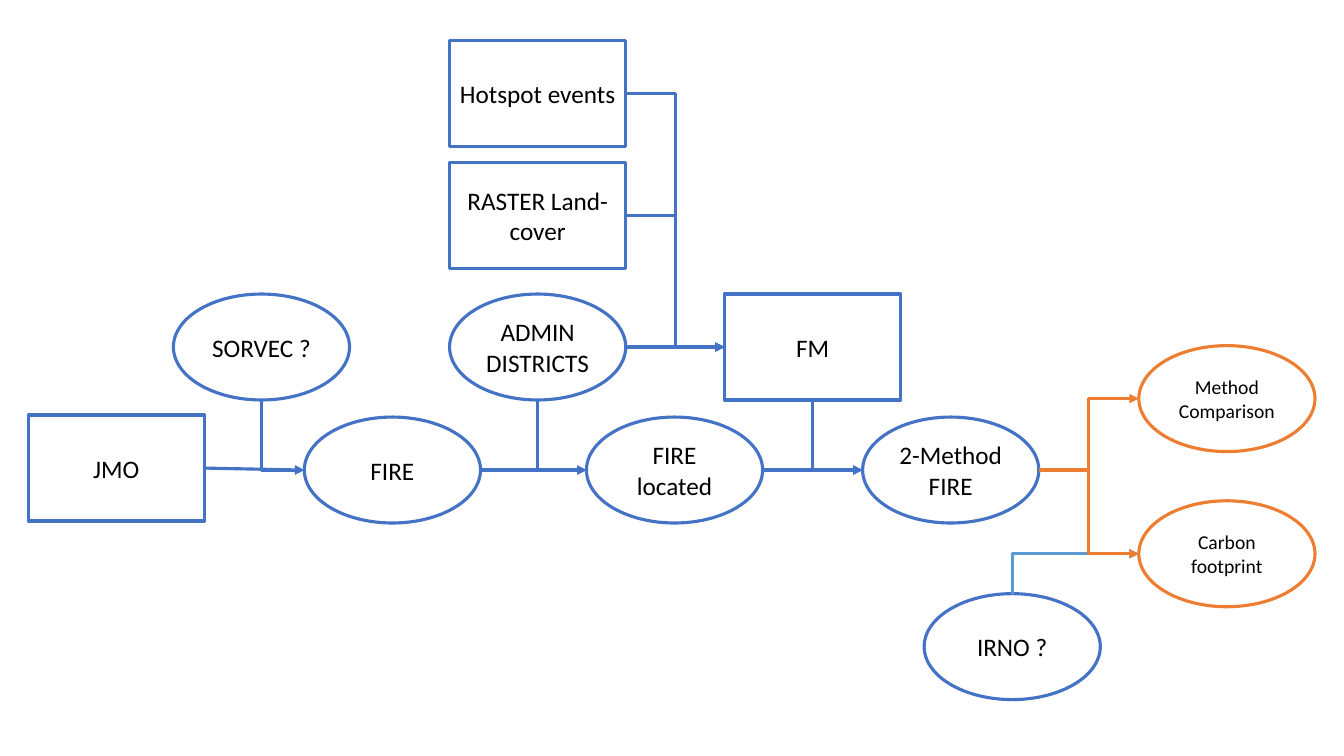
from lxml.etree import SubElement
from pptx import Presentation
from pptx.dml.color import RGBColor
from pptx.enum.shapes import MSO_CONNECTOR, MSO_SHAPE
from pptx.enum.text import MSO_ANCHOR, PP_ALIGN
from pptx.oxml.ns import qn
from pptx.util import Cm, Pt

BLUE, LIGHT_BLUE, ORANGE = "4472C4", "5B9BD5", "ED7D31"
WIDTH, HEIGHT = Cm(4.44), Cm(2.67)
RECT, OVAL = MSO_SHAPE.RECTANGLE, MSO_SHAPE.OVAL
# Connection sites of each preset shape
SITES = {
    RECT: {"top": 0, "left": 1, "bottom": 2, "right": 3},
    OVAL: {"top": 0, "left": 2, "bottom": 4, "right": 6},
}


def rgb(color):
    return RGBColor.from_string(color)


def side_point(sp, side):
    """Return the middle of one side of a shape."""
    x = {"left": 0, "right": sp.width}.get(side, sp.width // 2)
    y = {"top": 0, "bottom": sp.height}.get(side, sp.height // 2)
    return sp.left + x, sp.top + y


prs = Presentation()
prs.slide_width, prs.slide_height = Cm(33.87), Cm(19.05)
slide = prs.slides.add_slide(prs.slide_layouts[6])

# Columns and rows shared by several nodes, in cm
SOURCE_X, RESULT_X = 11.33, 28.7
UPPER_Y, MAIN_Y = 7.41, 10.51

# key: shape, left, top, paragraphs, line colour, text size
nodes = {
    "jmo": (RECT, 0.71, 10.46, ["JMO"], BLUE, 18),
    "sorvec": (OVAL, 4.37, UPPER_Y, ["SORVEC ?"], BLUE, 18),
    "fire": (OVAL, 7.67, MAIN_Y, ["FIRE"], BLUE, 18),
    "districts": (OVAL, SOURCE_X, UPPER_Y, ["ADMIN DISTRICTS"], BLUE, 18),
    "located": (OVAL, 14.78, MAIN_Y, ["FIRE", "located"], BLUE, 18),
    "fm": (RECT, 18.26, UPPER_Y, ["FM"], BLUE, 18),
    "methods": (OVAL, 21.74, MAIN_Y, ["2-Method FIRE"], BLUE, 18),
    "comparison": (OVAL, RESULT_X, 8.71, ["Method Comparison"], ORANGE, 14),
    "carbon": (OVAL, RESULT_X, 12.62, ["Carbon footprint"], ORANGE, 14),
    "irno": (OVAL, 23.29, 14.96, ["IRNO ?"], BLUE, 18),
    "landcover": (RECT, SOURCE_X, 4.09, ["RASTER Land-cover"], BLUE, 18),
    "hotspot": (RECT, SOURCE_X, 1.03, ["Hotspot events"], BLUE, 18),
}

shapes = {}
for key, (kind, left, top, lines, color, size) in nodes.items():
    sp = slide.shapes.add_shape(kind, Cm(left), Cm(top), WIDTH, HEIGHT)
    sp.shadow.inherit = False
    sp.fill.solid()
    sp.fill.fore_color.rgb = rgb("FFFFFF")
    sp.line.color.rgb = rgb(color)
    sp.line.width = Pt(2.25)
    tf = sp.text_frame
    tf.word_wrap = True
    tf.vertical_anchor = MSO_ANCHOR.MIDDLE
    for i, line in enumerate(lines):
        p = tf.add_paragraph() if i else tf.paragraphs[0]
        p.alignment = PP_ALIGN.CENTER
        r = p.add_run()
        r.text = line
        r.font.name = "Calibri"
        r.font.size = Pt(size)
        r.font.color.rgb = rgb("000000")
    shapes[key] = sp

# source, side it leaves from, target (always entered on the left), colour
links = [
    ("jmo", "right", "fire", BLUE),
    ("sorvec", "bottom", "fire", BLUE),
    ("districts", "bottom", "located", BLUE),
    ("fire", "right", "located", BLUE),
    ("fm", "bottom", "methods", BLUE),
    ("located", "right", "methods", BLUE),
    ("methods", "right", "comparison", ORANGE),
    ("irno", "top", "carbon", LIGHT_BLUE),
    ("districts", "right", "fm", BLUE),
    ("methods", "right", "carbon", ORANGE),
    ("landcover", "right", "fm", BLUE),
    ("hotspot", "right", "fm", BLUE),
]

for source, side, target, color in links:
    start, end = shapes[source], shapes[target]
    x1, y1 = side_point(start, side)
    x2, y2 = side_point(end, "left")
    kind = MSO_CONNECTOR.STRAIGHT if source == "jmo" else MSO_CONNECTOR.ELBOW
    cx = slide.shapes.add_connector(kind, x1, y1, x2, y2)
    cx._connect_begin_to(start, SITES[start.auto_shape_type][side])
    cx._connect_end_to(end, SITES[end.auto_shape_type]["left"])
    cx.line.color.rgb = rgb(color)
    cx.line.width = Pt(2.25)
    spPr = cx._element.spPr
    SubElement(spPr.find(qn("a:ln")), qn("a:tailEnd"), type="triangle")
    SubElement(spPr, qn("a:effectLst"))
    if side in ("top", "bottom"):
        # A single vertical-then-horizontal bend is a turned bentConnector2
        dx, dy = x2 - x1, abs(y2 - y1)
        cx.left, cx.top = (x1 + x2 - dy) // 2, (y1 + y2 - dx) // 2
        cx.width, cx.height = dy, dx
        xfrm = spPr.find(qn("a:xfrm"))
        xfrm.set("rot", "16200000" if side == "bottom" else "5400000")
        xfrm.set("flipH", "1")
        spPr.find(qn("a:prstGeom")).set("prst", "bentConnector2")

prs.save("out.pptx")
